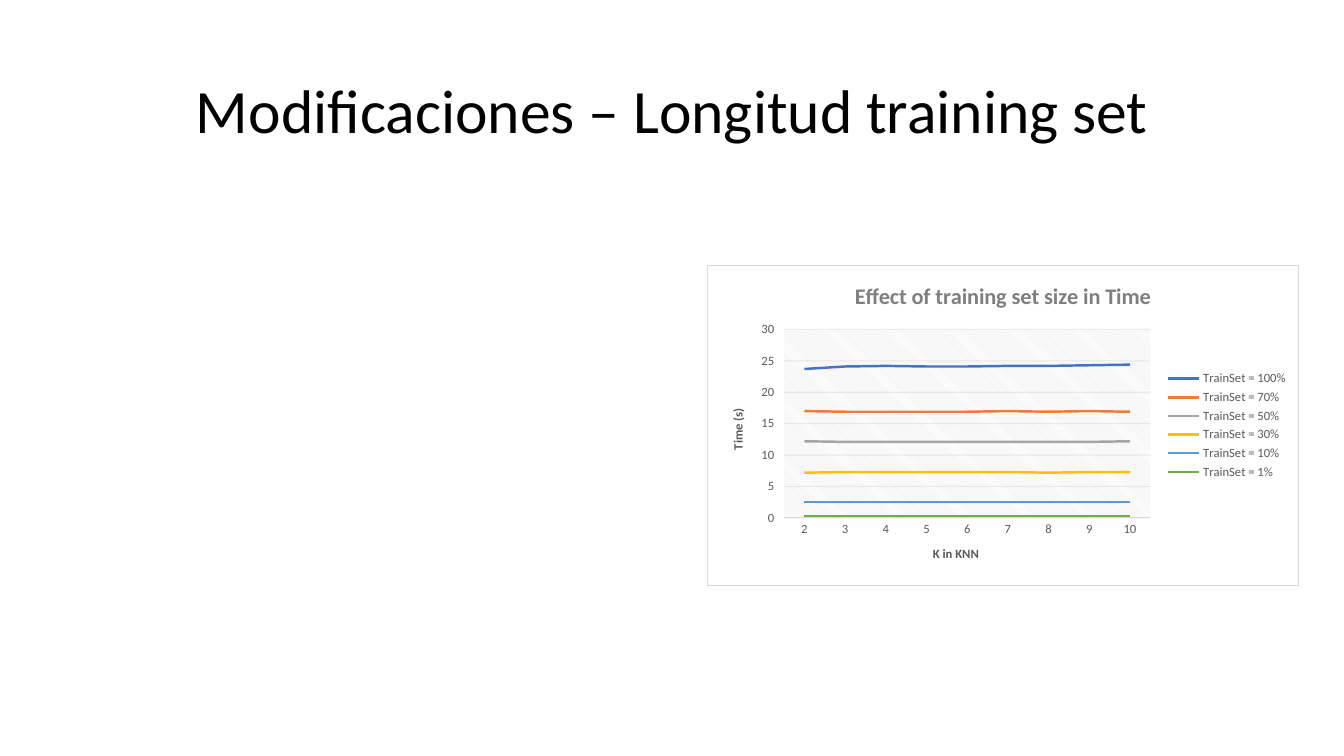
from lxml import etree
from pptx import Presentation
from pptx.chart.data import CategoryChartData
from pptx.dml.color import RGBColor
from pptx.enum.chart import XL_CHART_TYPE, XL_LEGEND_POSITION, XL_MARKER_STYLE, XL_TICK_MARK
from pptx.enum.text import MSO_ANCHOR, PP_ALIGN
from pptx.oxml import parse_xml
from pptx.oxml.ns import nsdecls, qn
from pptx.util import Pt

LINE_CHART = XL_CHART_TYPE.LINE
LEGEND_RIGHT = XL_LEGEND_POSITION.RIGHT
NO_MARKER = XL_MARKER_STYLE.NONE
TICK_NONE, TICK_OUT = XL_TICK_MARK.NONE, XL_TICK_MARK.OUTSIDE
MIDDLE, CENTER = MSO_ANCHOR.MIDDLE, PP_ALIGN.CENTER

FONT = "Calibri"
BLACK, WHITE = "000000", "FFFFFF"
LABEL_GREY, TITLE_GREY, RULE_GREY = "595959", "7F7F7F", "D9D9D9"

TITLE = "Modificaciones – Longitud training set"
CHART_TITLE = "Effect of training set size in Time"
K_TITLE, TIME_TITLE = "K in KNN", "Time (s)"
K_VALUES = [str(k) for k in range(2, 11)]
TRAIN_SETS = [
    ("100%", "4472C4", [23.7, 24.1, 24.2, 24.1, 24.1, 24.2, 24.2, 24.3, 24.4]),
    ("70%", "ED7D31", [17, 16.9, 16.9, 16.9, 16.9, 17, 16.9, 17, 16.9]),
    ("50%", "A5A5A5", [12.2, 12.1, 12.1, 12.1, 12.1, 12.1, 12.1, 12.1, 12.2]),
    ("30%", "FFC000", [7.2, 7.3, 7.3, 7.3, 7.3, 7.3, 7.2, 7.3, 7.3]),
    ("10%", "5B9BD5", [2.5] * 9),
    ("1%", "70AD47", [0.3] * 9),
]

PX = 9144  # EMU; 100 px to the inch
SLIDE_SIZE = (1333, 750)
TITLE_BOX = (92, 40, 1150, 145)
CHART_BOX = (701, 263, 587, 318)
PLOT_SHARE = {"x": 0.13, "y": 0.2, "w": 0.62, "h": 0.59}


def px(*lengths):
    return [length * PX for length in lengths]


def rgb(color):
    return RGBColor.from_string(color)


def style_font(font, size, color, bold=False):
    font.name, font.size, font.bold = FONT, Pt(size), bold
    font.color.rgb = rgb(color)


def style_line(line, color, width):
    line.color.rgb = rgb(color)
    line.width = Pt(width)


def set_title(owner, text, size, color):
    """Title a chart or one of its axes."""
    owner.has_title = True
    title = owner.chart_title if hasattr(owner, "chart_title") else owner.axis_title
    title.text_frame.text = text
    style_font(title.text_frame.paragraphs[0].runs[0].font, size, color, True)


def add_title(slide):
    frame = slide.shapes.add_textbox(*px(*TITLE_BOX)).text_frame
    frame.word_wrap = True
    frame.vertical_anchor = MIDDLE
    frame.text = TITLE
    paragraph = frame.paragraphs[0]
    paragraph.alignment, paragraph.line_spacing = CENTER, 0.9
    style_font(paragraph.runs[0].font, 44, BLACK)


def style_axes(chart):
    k_axis, time_axis = chart.category_axis, chart.value_axis
    for axis, text, tick in ((k_axis, K_TITLE, TICK_NONE), (time_axis, TIME_TITLE, TICK_OUT)):
        set_title(axis, text, 9, LABEL_GREY)
        style_font(axis.tick_labels.font, 9, LABEL_GREY)
        axis.major_tick_mark, axis.minor_tick_mark = tick, TICK_NONE
    style_line(k_axis.format.line, RULE_GREY, 0.75)
    time_axis.format.line.fill.background()
    time_axis.minimum_scale, time_axis.maximum_scale, time_axis.major_unit = 0, 30, 5
    time_axis.tick_labels.number_format = "0"
    time_axis.tick_labels.number_format_is_linked = False
    grid_line = time_axis.major_gridlines.format.line
    style_line(grid_line, RULE_GREY, 0.75)
    grid_color = time_axis.major_gridlines._xAx.find(qn("c:majorGridlines")).find(".//" + qn("a:srgbClr"))
    etree.SubElement(grid_color, qn("a:alpha"), val="54000")


def shape_properties(content):
    return parse_xml(f'<c:spPr {nsdecls("c", "a")}>{content}</c:spPr>')


def solid(color):
    return f'<a:solidFill><a:srgbClr val="{color}"/></a:solidFill>'


def style_areas(chart):
    """Fill the chart and plot areas and fix the place of the plot."""
    chart_space = chart._chartSpace
    chart_space.find(qn("c:chart")).addnext(
        shape_properties(f'{solid(WHITE)}<a:ln w="{Pt(0.75)}">{solid(RULE_GREY)}</a:ln>'))
    plot_area = chart_space.find(".//" + qn("c:plotArea"))
    plot_area.append(shape_properties(
        f'<a:pattFill prst="ltDnDiag"><a:fgClr><a:srgbClr val="{RULE_GREY}"/></a:fgClr>'
        f'<a:bgClr><a:srgbClr val="{WHITE}"/></a:bgClr></a:pattFill><a:ln><a:noFill/></a:ln>'))
    for old_layout in plot_area.findall(qn("c:layout")):
        plot_area.remove(old_layout)
    shares = "".join(f'<c:{side} val="{share}"/>' for side, share in PLOT_SHARE.items())
    plot_area.insert(0, parse_xml(
        f'<c:layout {nsdecls("c")}><c:manualLayout><c:layoutTarget val="inner"/>'
        f'<c:xMode val="edge"/><c:yMode val="edge"/>{shares}</c:manualLayout></c:layout>'))


def add_time_chart(slide):
    times = CategoryChartData(number_format="0.0")
    times.categories = K_VALUES
    for share, _, seconds in TRAIN_SETS:
        times.add_series(f"TrainSet = {share}", seconds)
    chart = slide.shapes.add_chart(LINE_CHART, *px(*CHART_BOX), times).chart
    style_font(chart.font, 10, BLACK)
    set_title(chart, CHART_TITLE, 16, TITLE_GREY)
    chart.has_legend = True
    chart.legend.position, chart.legend.include_in_layout = LEGEND_RIGHT, False
    style_font(chart.legend.font, 9, LABEL_GREY)
    chart.plots[0].vary_by_categories = False
    for series, (_, color, _) in zip(chart.series, TRAIN_SETS):
        series.smooth = False
        series.marker.style = NO_MARKER
        style_line(series.format.line, color, 1.75)
    style_axes(chart)
    style_areas(chart)


def main():
    deck = Presentation()
    deck.slide_width, deck.slide_height = px(*SLIDE_SIZE)
    slide = deck.slides.add_slide(deck.slide_layouts[6])
    add_title(slide)
    add_time_chart(slide)
    deck.save("out.pptx")


if __name__ == "__main__":
    main()
